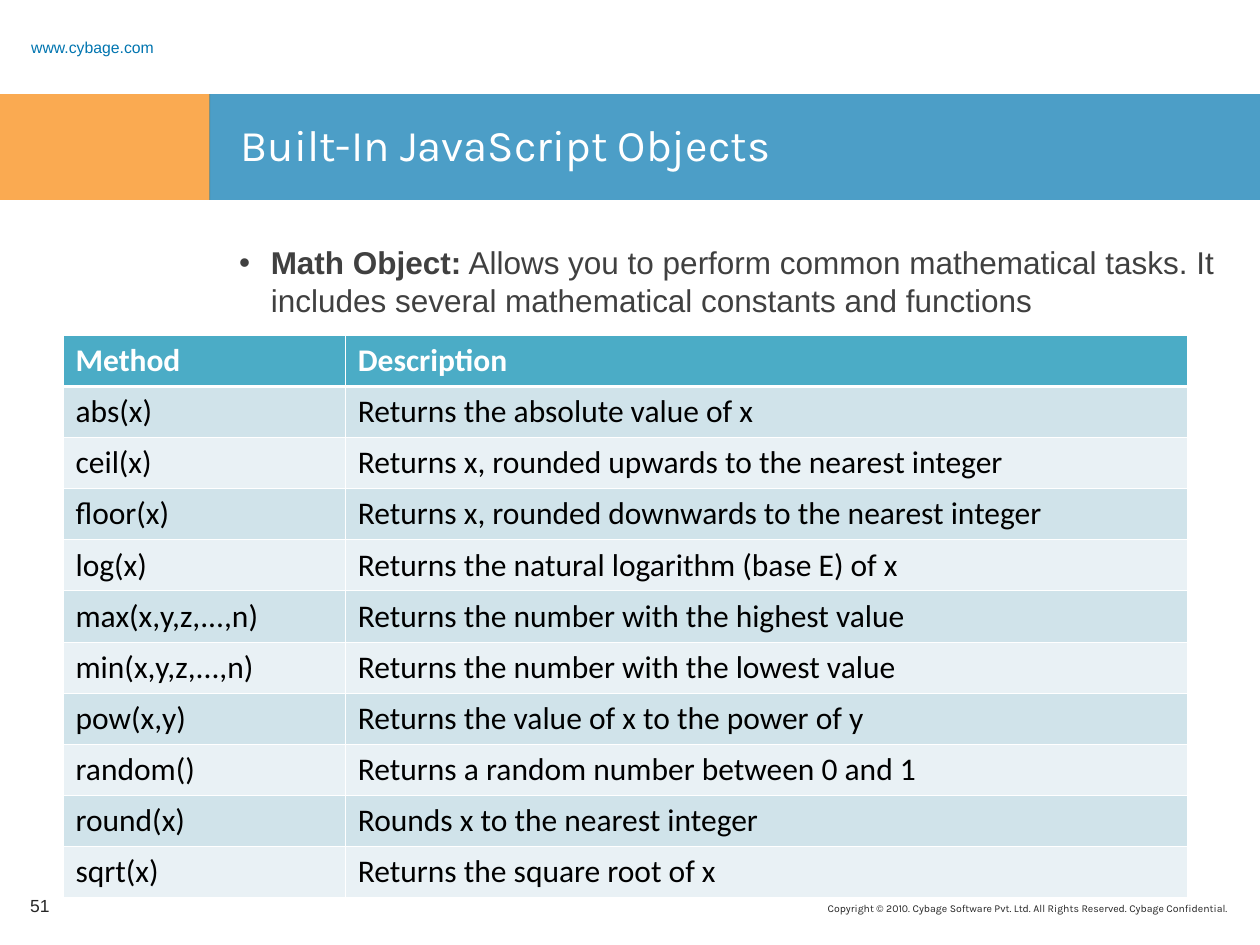
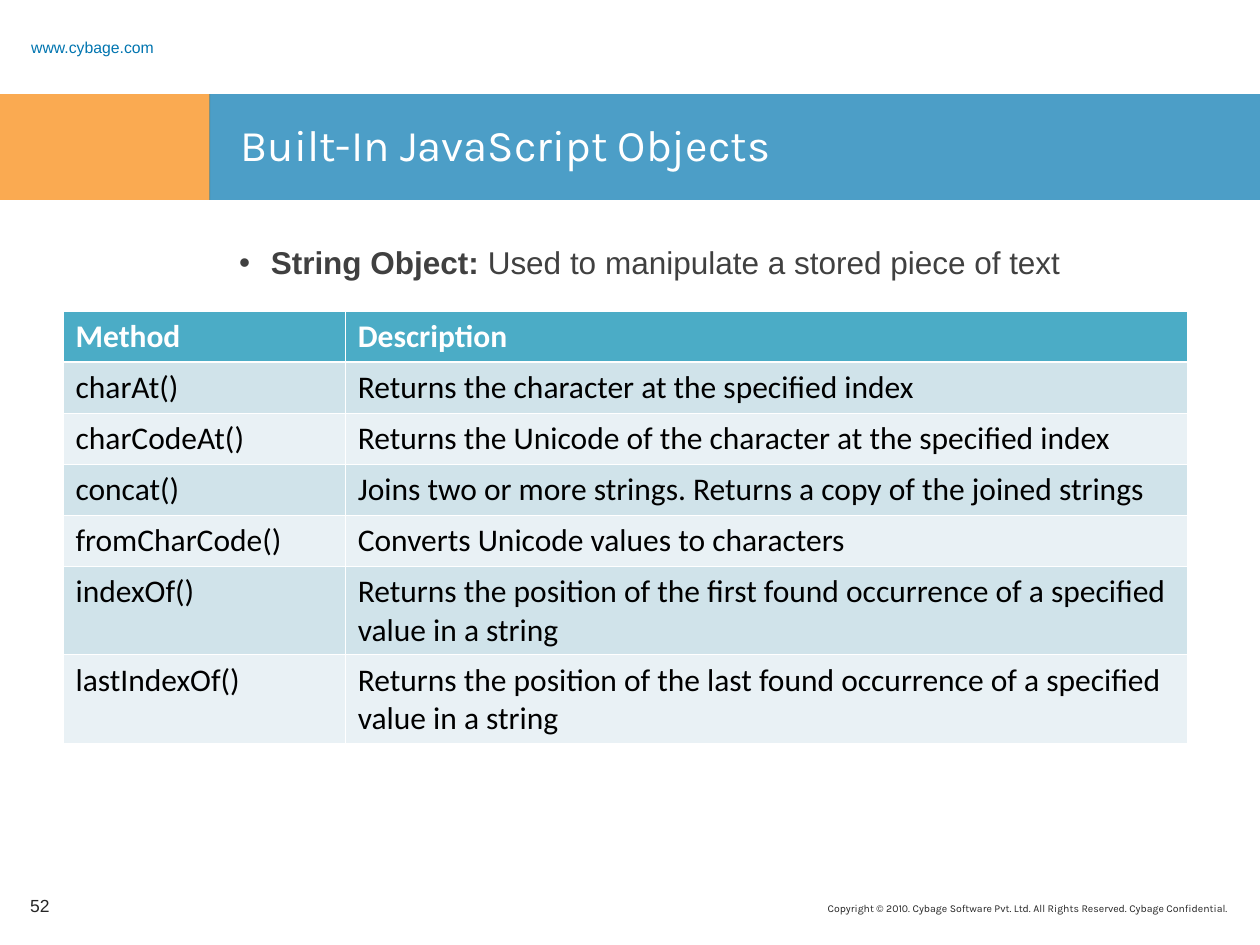
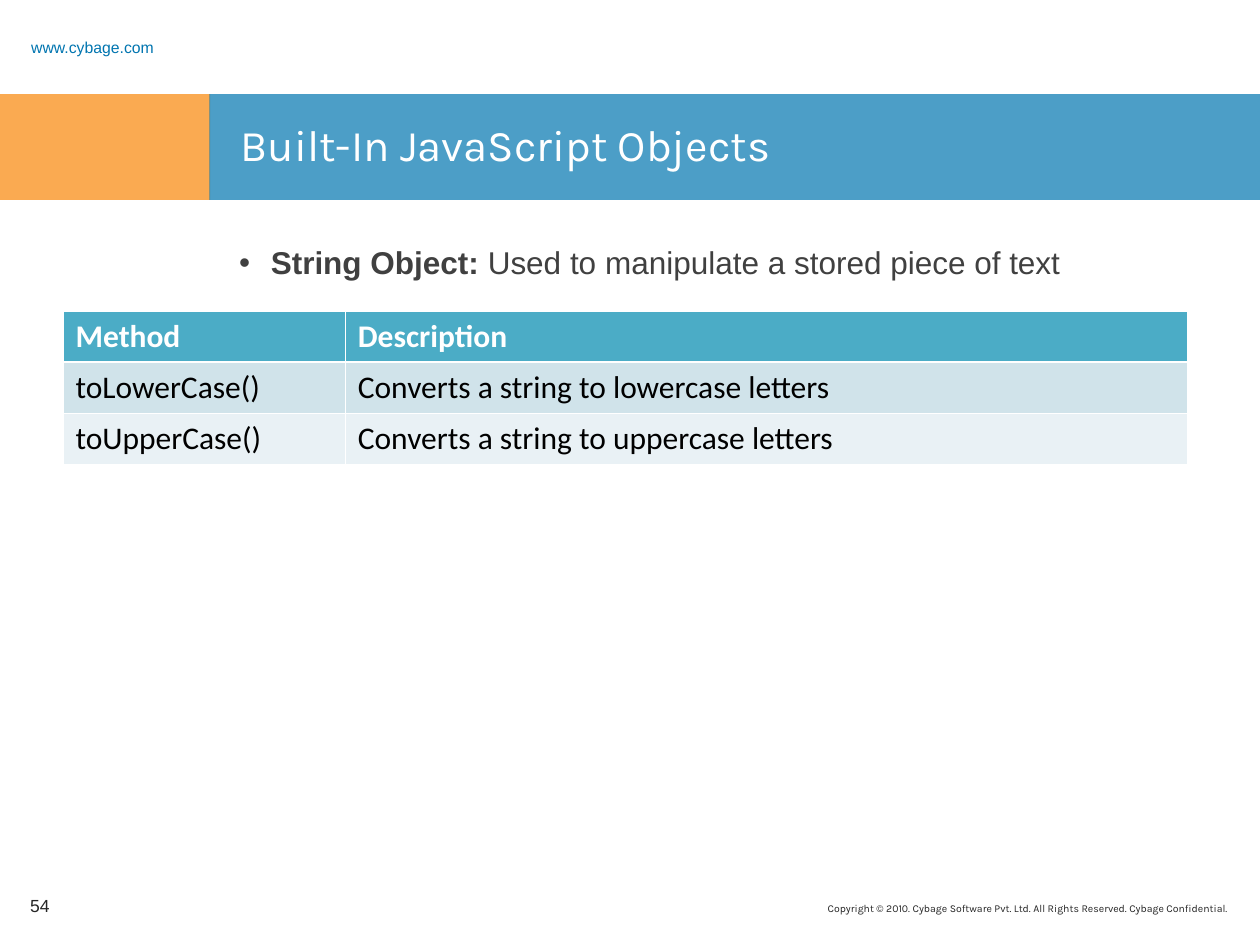
"""Build three slides about the built-in JavaScript Math and String objects."""

from dataclasses import dataclass
from typing import NamedTuple

from lxml.etree import SubElement
from pptx import Presentation
from pptx.dml.color import RGBColor
from pptx.enum.shapes import MSO_SHAPE
from pptx.enum.text import MSO_ANCHOR, MSO_AUTO_SIZE, PP_ALIGN
from pptx.oxml.ns import qn
from pptx.util import Cm, Pt

RECTANGLE = MSO_SHAPE.RECTANGLE
TOP, MIDDLE = MSO_ANCHOR.TOP, MSO_ANCHOR.MIDDLE
LEFT, RIGHT = PP_ALIGN.LEFT, PP_ALIGN.RIGHT
NO_AUTOFIT = MSO_AUTO_SIZE.NONE
TITLE_ONLY = 5


class Style(NamedTuple):
    font: str
    size: float
    color: RGBColor
    bold: bool = False


@dataclass(frozen=True)
class Theme:
    orange: RGBColor = RGBColor.from_string("F88608")
    blue: RGBColor = RGBColor.from_string("0075B0")
    header_fill: RGBColor = RGBColor.from_string("4BACC6")
    odd_fill: RGBColor = RGBColor.from_string("D0E3EA")
    even_fill: RGBColor = RGBColor.from_string("E9F1F5")
    border: str = "FFFFFF"
    thin: float = 0.45
    thick: float = 1.47
    band_opacity: int = 70
    title: Style = Style("Karla", 25, RGBColor.from_string("FFFFFF"))
    term: Style = Style("Arial", 18, RGBColor.from_string("404040"), True)
    summary: Style = Style("Arial", 18, RGBColor.from_string("404040"))
    header: Style = Style("Calibri", 18, RGBColor.from_string("FFFFFF"), True)
    cell: Style = Style("Calibri", 18, RGBColor.from_string("000000"))
    address: Style = Style("Arial", 9, RGBColor.from_string("0075B0"))
    number: Style = Style("Arial", 10, RGBColor.from_string("262626"))
    copyright: Style = Style("Karla", 6, RGBColor.from_string("262626"))


THEME = Theme()


class Area(NamedTuple):
    left: float
    top: float
    width: float
    height: float

    def lengths(self) -> tuple[Cm, ...]:
        return tuple(Cm(value) for value in self)


@dataclass(frozen=True)
class Band:
    area: Area
    color: RGBColor


@dataclass(frozen=True)
class Label:
    area: Area
    text: str
    style: Style
    align: PP_ALIGN = LEFT
    anchor: MSO_ANCHOR = MIDDLE
    line_spacing: float = 1.0


@dataclass(frozen=True)
class Topic:
    number: int
    term: str
    summary: str
    table_top: float
    methods: tuple[tuple[str, str], ...]


TITLE = "Built-In JavaScript Objects"
TITLE_AREA = Area(4.6, 2.24, 20.17, 1.57)
SUMMARY_AREA = Area(4.57, 4.78, 20.19, 10.03)
NUMBER_AREA = Area(0.36, 17.75, 1.37, 1.02)
BULLET_INDENT = 0.64
TABLE_LEFT = 1.27
COLUMN_WIDTHS = (5.69, 16.97)
ROW_HEIGHT = 1.03
TWO_LINE_HEIGHT = 1.78
LINE_LIMIT = 70

BANDS = (
    Band(Area(0, 1.9, 4.24, 2.13), THEME.orange),
    Band(Area(4.22, 1.9, 21.18, 2.13), THEME.blue),
)
LABELS = (
    Label(
        Area(10.36, 18.06, 14.63, 0.66),
        "Copyright © 2010. Cybage Software Pvt. Ltd. All Rights Reserved. Cybage Confidential.",
        THEME.copyright, RIGHT, TOP,
    ),
    Label(Area(0.38, 0.61, 3.81, 0.48), "www.cybage.com", THEME.address, line_spacing=1.5),
)
HEADINGS = ("Method", "Description")
STRING_TERM = "String Object:"
STRING_SUMMARY = " Used to manipulate a stored piece of text"
STRING_TABLE_TOP = 6.27

TOPICS = (
    Topic(
        51,
        "Math Object:",
        " Allows you to perform common mathematical tasks. It includes several"
        " mathematical constants and functions",
        6.76,
        (
            ("abs(x)", "Returns the absolute value of x"),
            ("ceil(x)", "Returns x, rounded upwards to the nearest integer"),
            ("floor(x)", "Returns x, rounded downwards to the nearest integer"),
            ("log(x)", "Returns the natural logarithm (base E) of x"),
            ("max(x,y,z,...,n)", "Returns the number with the highest value"),
            ("min(x,y,z,...,n)", "Returns the number with the lowest value"),
            ("pow(x,y)", "Returns the value of x to the power of y"),
            ("random()", "Returns a random number between 0 and 1"),
            ("round(x)", "Rounds x to the nearest integer"),
            ("sqrt(x)", "Returns the square root of x"),
        ),
    ),
    Topic(
        52,
        STRING_TERM,
        STRING_SUMMARY,
        STRING_TABLE_TOP,
        (
            ("charAt()", "Returns the character at the specified index"),
            ("charCodeAt()", "Returns the Unicode of the character at the specified index"),
            ("concat()", "Joins two or more strings. Returns a copy of the joined strings"),
            ("fromCharCode()", "Converts Unicode values to characters"),
            ("indexOf()", "Returns the position of the first found occurrence of a specified value in a string"),
            ("lastIndexOf()", "Returns the position of the last found occurrence of a specified value in a string"),
        ),
    ),
    Topic(
        54,
        STRING_TERM,
        STRING_SUMMARY,
        STRING_TABLE_TOP,
        (
            ("toLowerCase()", "Converts a string to lowercase letters"),
            ("toUpperCase()", "Converts a string to uppercase letters"),
        ),
    ),
)


def format_span(span, style: Style) -> None:
    span.font.name = style.font
    span.font.size = Pt(style.size)
    span.font.color.rgb = style.color
    span.font.bold = style.bold


def draw_band(page, band: Band) -> None:
    shape = page.shapes.add_shape(RECTANGLE, *band.area.lengths())
    shape.shadow.inherit = False
    shape.line.fill.background()
    shape.fill.solid()
    shape.fill.fore_color.rgb = band.color
    color = shape.element.spPr.find(qn("a:solidFill")).find(qn("a:srgbClr"))
    SubElement(color, qn("a:alpha"), val=str(THEME.band_opacity * 1000))


def draw_label(page, label: Label) -> None:
    box = page.shapes.add_textbox(*label.area.lengths())
    frame = box.text_frame
    frame.word_wrap = True
    frame.vertical_anchor = label.anchor
    frame.text = label.text
    para = frame.paragraphs[0]
    para.alignment = label.align
    para.line_spacing = label.line_spacing
    format_span(para.runs[0], label.style)


def place_title(page) -> None:
    title = page.shapes.title
    title.left, title.top, title.width, title.height = TITLE_AREA.lengths()
    frame = title.text_frame
    frame.text = TITLE
    frame.auto_size = NO_AUTOFIT
    frame.vertical_anchor = TOP
    para = frame.paragraphs[0]
    para.alignment = LEFT
    format_span(para.runs[0], THEME.title)
    title.element.getparent().append(title.element)


def draw_summary(page, topic: Topic) -> None:
    box = page.shapes.add_textbox(*SUMMARY_AREA.lengths())
    box.text_frame.word_wrap = True
    para = box.text_frame.paragraphs[0]
    properties = para._p.get_or_add_pPr()
    properties.set("marL", str(Cm(BULLET_INDENT)))
    properties.set("indent", str(-Cm(BULLET_INDENT)))
    SubElement(properties, qn("a:buFont"), typeface="Arial")
    SubElement(properties, qn("a:buChar"), char="•")
    for text, style in ((topic.term, THEME.term), (topic.summary, THEME.summary)):
        span = para.add_run()
        span.text = text
        format_span(span, style)


def set_borders(cell, top: float, bottom: float) -> None:
    properties = cell._tc.get_or_add_tcPr()
    widths = {"lnL": THEME.thin, "lnR": THEME.thin, "lnT": top, "lnB": bottom}
    for side, width in widths.items():
        line = SubElement(properties, qn(f"a:{side}"), w=str(Pt(width)))
        fill = SubElement(line, qn("a:solidFill"))
        SubElement(fill, qn("a:srgbClr"), val=THEME.border)


def fill_cell(cell, text: str, row_index: int) -> None:
    is_header = row_index == 0
    cell.text_frame.text = text
    format_span(cell.text_frame.paragraphs[0].runs[0], THEME.header if is_header else THEME.cell)
    set_borders(
        cell,
        top=THEME.thick if row_index == 1 else THEME.thin,
        bottom=THEME.thick if is_header else THEME.thin,
    )
    cell.fill.solid()
    band_fill = THEME.odd_fill if row_index % 2 else THEME.even_fill
    cell.fill.fore_color.rgb = THEME.header_fill if is_header else band_fill


def draw_methods(page, topic: Topic) -> None:
    rows = (HEADINGS, *topic.methods)
    heights = [TWO_LINE_HEIGHT if len(row[1]) > LINE_LIMIT else ROW_HEIGHT for row in rows]
    area = Area(TABLE_LEFT, topic.table_top, sum(COLUMN_WIDTHS), sum(heights))
    table = page.shapes.add_table(len(rows), len(HEADINGS), *area.lengths()).table
    for column, width in zip(table.columns, COLUMN_WIDTHS):
        column.width = Cm(width)
    for row_index, (texts, height) in enumerate(zip(rows, heights)):
        table.rows[row_index].height = Cm(height)
        for column_index, text in enumerate(texts):
            fill_cell(table.cell(row_index, column_index), text, row_index)


def build_page(deck, topic: Topic) -> None:
    page = deck.slides.add_slide(deck.slide_layouts[TITLE_ONLY])
    for band in BANDS:
        draw_band(page, band)
    for label in LABELS:
        draw_label(page, label)
    place_title(page)
    draw_summary(page, topic)
    draw_label(page, Label(NUMBER_AREA, str(topic.number), THEME.number))
    draw_methods(page, topic)


def main() -> None:
    deck = Presentation()
    deck.slide_width, deck.slide_height = Cm(25.4), Cm(19.05)
    for topic in TOPICS:
        build_page(deck, topic)
    deck.save("out.pptx")


if __name__ == "__main__":
    main()
